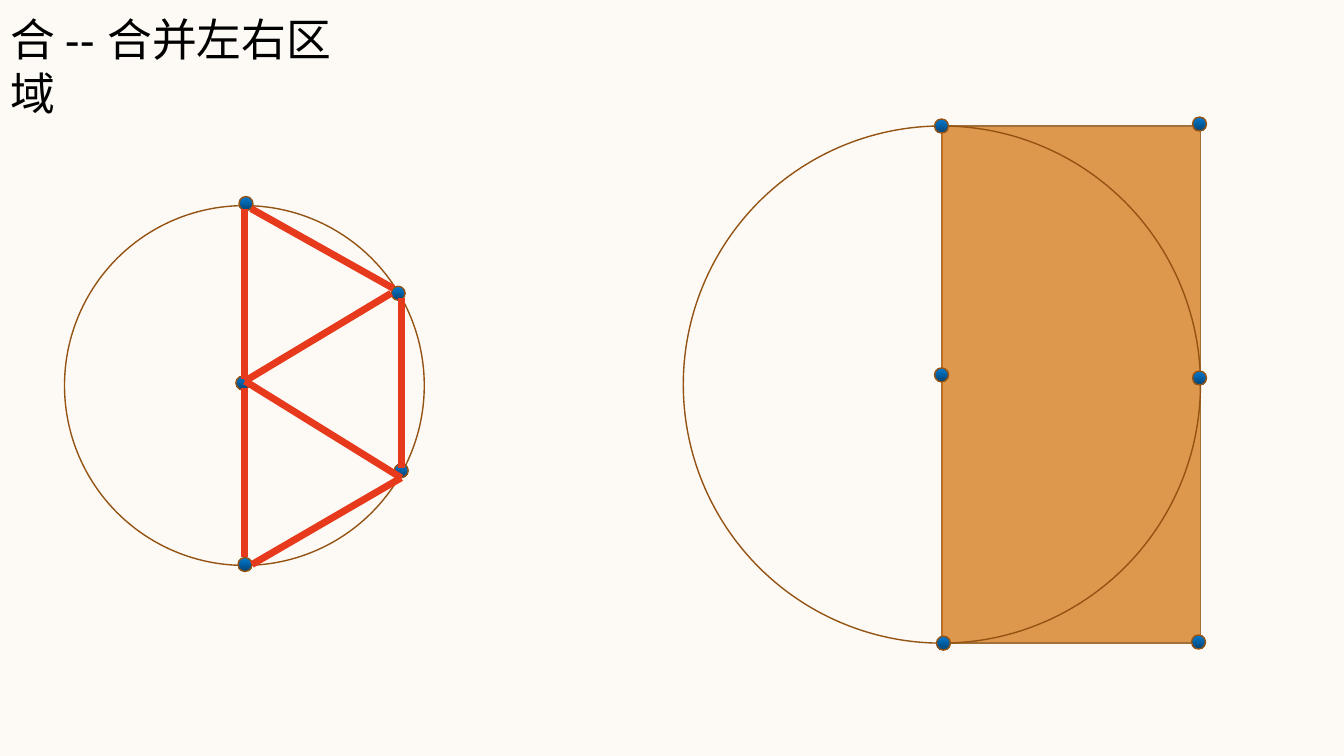
from lxml.etree import SubElement
from pptx import Presentation
from pptx.dml.color import RGBColor
from pptx.enum.shapes import MSO_CONNECTOR, MSO_SHAPE
from pptx.enum.text import MSO_ANCHOR, MSO_AUTO_SIZE, PP_ALIGN
from pptx.oxml.ns import qn
from pptx.util import Pt

CREAM = RGBColor(0xFD, 0xFA, 0xF6)
BLACK = RGBColor(0x00, 0x00, 0x00)
SAND = RGBColor(0xDD, 0x98, 0x4D)
SAND_EDGE = RGBColor(0xA3, 0x70, 0x39)
ORANGE = RGBColor(0xC8, 0x70, 0x1A)
BROWN = RGBColor(0x94, 0x53, 0x13)
RED = RGBColor(0xE7, 0x3A, 0x1C)
BLUE = RGBColor(0x00, 0x7B, 0xD3)
NAVY = RGBColor(0x03, 0x43, 0x73)

# Centres of the dots and ends of the lines, in points
SMALL_CIRCLE = (174.6, 275.4)
SMALL_RADIUS = 128.5
SMALL_DOTS = [(175.7, 145.4), (173.5, 273.6), (175, 403.2),
              (284.4, 209.5), (286.6, 336.2)]
TRIANGLE_EDGES = [
    ((175, 149), (175, 270.7)),
    ((175, 277.2), (175, 398.2)),
    ((179.3, 149), (280.8, 205.9)),
    ((279.4, 209.5), (175, 272.2)),
    ((175, 272.2), (286.6, 341.3)),
    ((286.6, 341.3), (180, 403.2)),
    ((286.6, 213.1), (286.6, 334.1)),
]
LARGE_CIRCLE = (672.8, 274.7)
LARGE_RADIUS = 184.7
LARGE_DOTS = [(672.5, 90), (672.5, 267.8), (673.9, 459.4),
              (856.8, 88.6), (856.8, 270), (856.1, 458.6)]


def write(frame, text, *, size, color, font="Arial", align=PP_ALIGN.LEFT):
    paragraph = frame.paragraphs[0]
    paragraph.alignment = align
    run = paragraph.add_run()
    run.text = text
    run.font.name = font
    run.font.size = Pt(size)
    run.font.color.rgb = color


class Diagram:
    def __init__(self, slide):
        self.slide = slide
        slide.background.fill.solid()
        slide.background.fill.fore_color.rgb = CREAM

    def title(self, text, left, top, width, height):
        title = self.slide.shapes.title
        title.left, title.top = Pt(left), Pt(top)
        title.width, title.height = Pt(width), Pt(height)
        frame = title.text_frame
        frame.word_wrap = True
        frame.auto_size = MSO_AUTO_SIZE.NONE
        frame.vertical_anchor = MSO_ANCHOR.TOP
        write(frame, text, size=32, color=BLACK)

    def shape(self, kind, left, top, width, height, fill=None, edge=BROWN):
        shape = self.slide.shapes.add_shape(
            kind, Pt(left), Pt(top), Pt(width), Pt(height))
        shape.shadow.inherit = False
        shape.line.color.rgb = edge
        shape.line.width = Pt(1)
        if fill is None:
            shape.fill.background()
        else:
            shape.fill.solid()
            shape.fill.fore_color.rgb = fill
        return shape

    def circle(self, centre, radius, fill=None):
        x, y = centre
        return self.shape(MSO_SHAPE.OVAL, x - radius, y - radius,
                          2 * radius, 2 * radius, fill)

    def dot(self, centre):
        fill = self.circle(centre, 5).fill
        fill.gradient()
        fill.gradient_angle = 270
        for stop, position, color in zip(fill.gradient_stops, (0, 1), (BLUE, NAVY)):
            stop.position = position
            stop.color.rgb = color

    def line(self, start, end, color, width):
        line = self.slide.shapes.add_connector(
            MSO_CONNECTOR.STRAIGHT, *(Pt(value) for value in (*start, *end)))
        line.line.color.rgb = color
        line.line.width = Pt(width)
        SubElement(line._element.spPr, qn("a:effectLst"))

    def halved_circle(self, centre, radius):
        """Draw a circle with its vertical diameter."""
        x, y = centre
        self.circle(centre, radius)
        self.line((x, y - radius), (x, y + radius), ORANGE, 0.5)


def main():
    deck = Presentation()
    deck.slide_width, deck.slide_height = Pt(960), Pt(540)
    diagram = Diagram(deck.slides.add_slide(deck.slide_layouts[5]))

    x, y = LARGE_CIRCLE
    diagram.shape(MSO_SHAPE.RECTANGLE, x, y - LARGE_RADIUS,
                  LARGE_RADIUS, 2 * LARGE_RADIUS, SAND, SAND_EDGE)
    diagram.title("合 -- 合并左右区域", 0, 5, 266, 84)

    diagram.circle((174.2, 275), 2.9, ORANGE)
    diagram.halved_circle(SMALL_CIRCLE, SMALL_RADIUS)
    for centre in SMALL_DOTS:
        diagram.dot(centre)
    for start, end in TRIANGLE_EDGES:
        diagram.line(start, end, RED, 5)

    diagram.circle((673.2, 267.8), 4.3, ORANGE)
    diagram.halved_circle(LARGE_CIRCLE, LARGE_RADIUS)
    for centre in LARGE_DOTS:
        diagram.dot(centre)

    deck.save("out.pptx")


if __name__ == "__main__":
    main()
